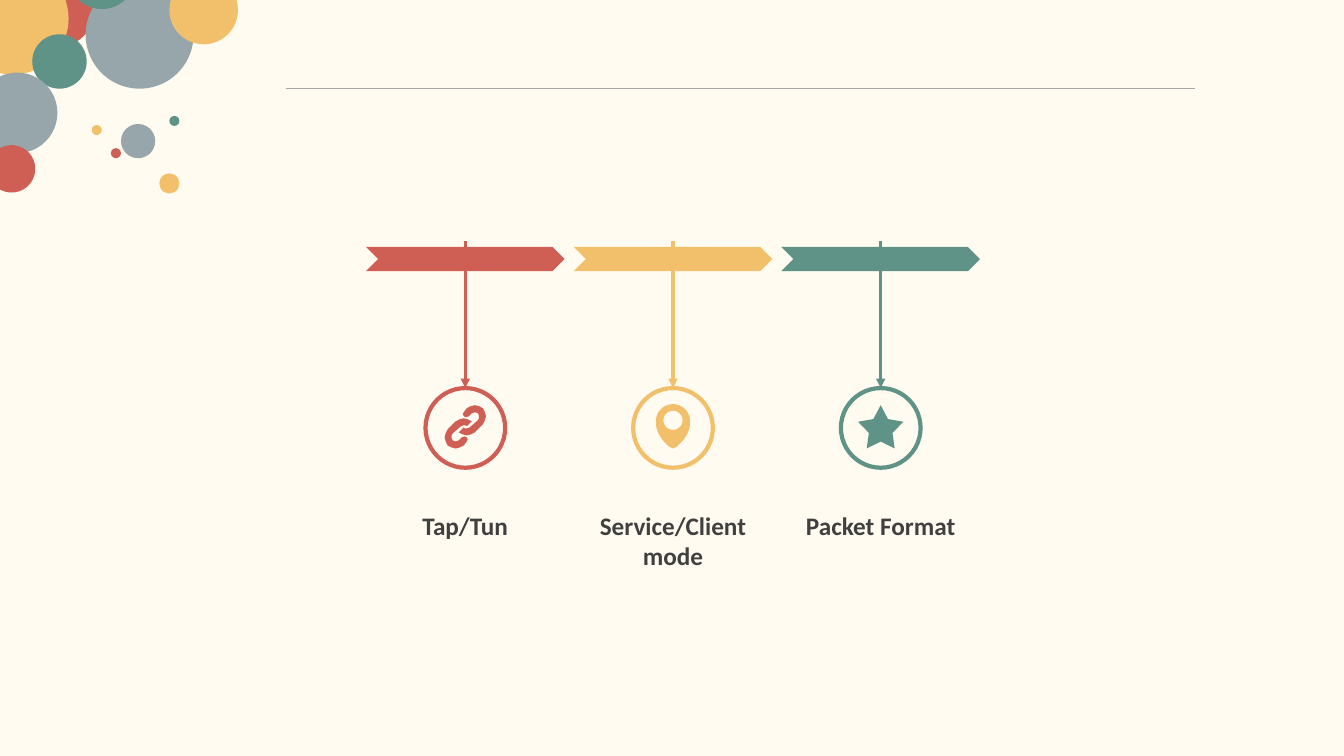
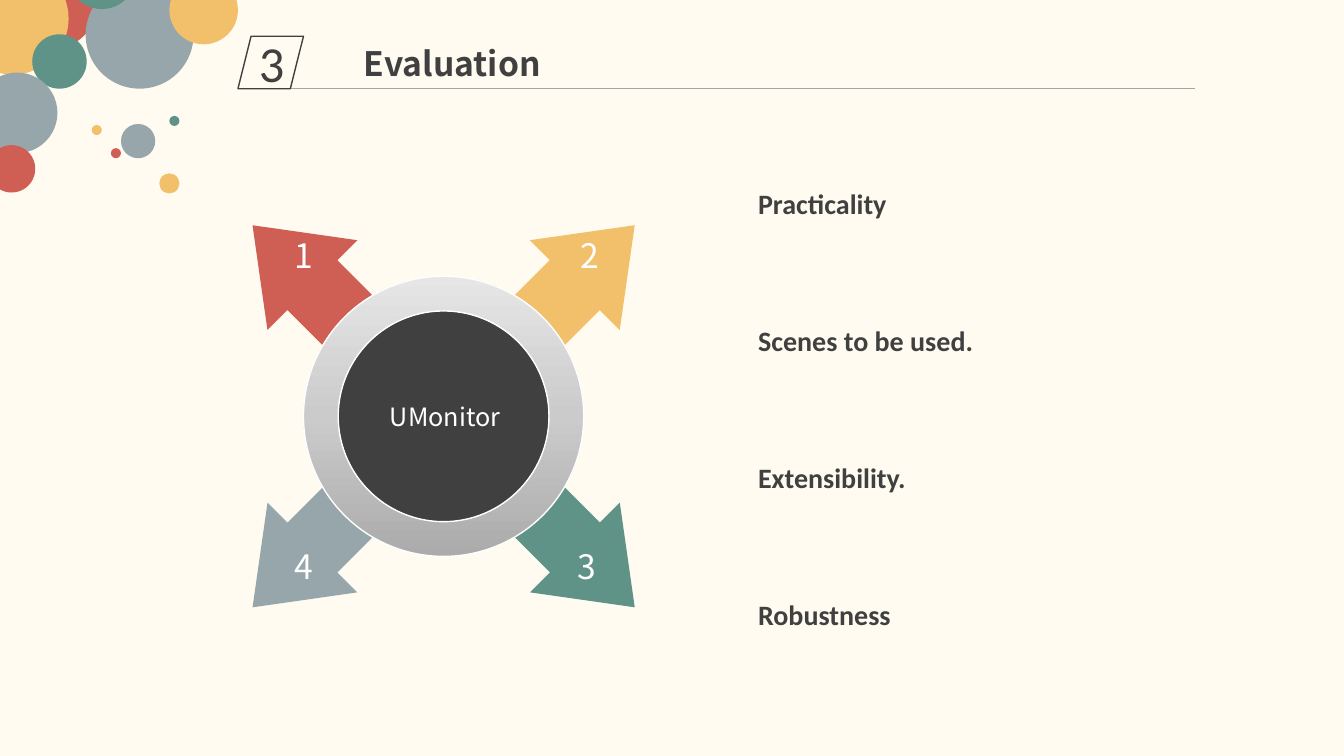
from copy import deepcopy
from dataclasses import dataclass
from math import cos, pi, sin

from lxml import etree
from pptx import Presentation
from pptx.dml.color import RGBColor
from pptx.enum.shapes import MSO_CONNECTOR, MSO_SHAPE
from pptx.enum.text import MSO_ANCHOR, MSO_AUTO_SIZE, PP_ALIGN
from pptx.oxml.ns import qn
from pptx.util import Inches, Pt

RED, YELLOW, GREEN, GREY = "CF5F55", "F2C06B", "5F9387", "97A6AB"
INK, WHITE, CREAM, RULE = "404040", "FFFFFF", "FFFBF0", "A6A6A6"
SANS, CJK = "Calibri", "Noto Sans CJK SC"
LEFT, CENTER = PP_ALIGN.LEFT, PP_ALIGN.CENTER
TOP, MIDDLE = MSO_ANCHOR.TOP, MSO_ANCHOR.MIDDLE
FIT = MSO_AUTO_SIZE.SHAPE_TO_FIT_TEXT
STRAIGHT = MSO_CONNECTOR.STRAIGHT
ELLIPSE, DONUT, STAR = MSO_SHAPE.OVAL, MSO_SHAPE.DONUT, MSO_SHAPE.STAR_5_POINT
CHEVRON, UP_ARROW = MSO_SHAPE.CHEVRON, MSO_SHAPE.UP_ARROW
PARALLELOGRAM = MSO_SHAPE.PARALLELOGRAM


@dataclass(frozen=True)
class Bubble:
    """Round decoration in the top left corner."""
    left: float
    top: float
    size: float
    color: str


@dataclass(frozen=True)
class Step:
    """Column of the timeline."""
    label: str
    color: str


@dataclass(frozen=True)
class Arrow:
    """Numbered arrow around the hub, with its direction and digit centre."""
    number: str
    color: str
    dx: int
    dy: int
    rotation: int
    digit_x: float
    digit_y: float


BUBBLES = [
    Bubble(0.04, -0.44, 0.93, RED), Bubble(-0.43, -0.37, 1.11, YELLOW),
    Bubble(0.32, 0.34, 0.54, GREEN), Bubble(-0.23, 0.72, 0.8, GREY),
    Bubble(0.85, -0.19, 1.07, GREY), Bubble(0.67, -0.59, 0.68, GREEN),
    Bubble(-0.12, 1.44, 0.47, RED), Bubble(1.2, 1.23, 0.34, GREY),
    Bubble(1.1, 1.47, 0.1, RED), Bubble(0.91, 1.24, 0.1, YELLOW),
    Bubble(1.68, 1.15, 0.1, GREEN), Bubble(1.58, 1.72, 0.2, YELLOW),
    Bubble(1.68, -0.24, 0.68, YELLOW),
]
STEPS = [Step("Tap/Tun", RED), Step("Service/Client mode", YELLOW),
         Step("Packet Format", GREEN)]
ARROWS = [
    Arrow("3", GREEN, 1, 1, 135, 5.82, 5.62),
    Arrow("4", GREY, -1, 1, 225, 3.01, 5.62),
    Arrow("1", RED, -1, -1, 315, 3.01, 2.53),
    Arrow("2", YELLOW, 1, -1, 45, 5.85, 2.53),
]
TOPICS = ["Practicality", "Scenes to be used.", "Extensibility.", "Robustness"]
CHAIN_LINK = [
    (4.71, 4.02), (4.75, 4.03), (4.79, 4.05), (4.81, 4.09), (4.82, 4.13),
    (4.81, 4.17), (4.79, 4.21), (4.71, 4.29), (4.67, 4.31), (4.63, 4.32),
    (4.59, 4.31), (4.55, 4.29), (4.6, 4.24), (4.61, 4.25), (4.63, 4.25),
    (4.66, 4.24), (4.74, 4.17), (4.75, 4.15), (4.75, 4.12), (4.74, 4.1),
    (4.71, 4.09), (4.68, 4.1), (4.65, 4.13), (4.62, 4.14), (4.6, 4.13),
    (4.59, 4.11), (4.6, 4.09), (4.63, 4.05), (4.67, 4.03),
]
PIN_SIDE = [(0.165, 0.06), (0.14, 0.13), (0.1, 0.19), (0.04, 0.25)]


def rgb(color: str) -> RGBColor:
    """Turn a hex string into a colour."""
    return RGBColor.from_string(color)


def paint(sp, fill: str | None = None, line: str | None = None, width: float = 1) -> None:
    """Set fill and outline, and drop the shadow."""
    sp.shadow.inherit = False
    if fill:
        sp.fill.solid()
        sp.fill.fore_color.rgb = rgb(fill)
    else:
        sp.fill.background()
    if line:
        sp.line.color.rgb = rgb(line)
        sp.line.width = Pt(width)
    else:
        sp.line.fill.background()


def add_shape(shapes, kind, left: float, top: float, width: float, height: float,
              fill: str | None = None, line: str | None = None, weight: float = 1):
    """Add a painted preset shape."""
    sp = shapes.add_shape(kind, Inches(left), Inches(top), Inches(width), Inches(height))
    paint(sp, fill, line, weight)
    return sp


def write(sp, text: str, size: float, color: str, font: str = SANS, bold: bool = False,
          align=LEFT, anchor=TOP) -> None:
    """Set one formatted line of text."""
    tf = sp.text_frame
    tf.text = text
    tf.vertical_anchor = anchor
    p = tf.paragraphs[0]
    p.alignment = align
    r = p.runs[0]
    r.font.size, r.font.bold, r.font.name = Pt(size), bold, font
    r.font.color.rgb = rgb(color)


def add_text(s, text: str, left: float, top: float, width: float, height: float,
             size: float, color: str, font: str = SANS, bold: bool = False,
             align=LEFT, wrap: bool = True) -> None:
    """Add a text box that fits its text."""
    box = s.shapes.add_textbox(Inches(left), Inches(top), Inches(width), Inches(height))
    write(box, text, size, color, font, bold, align)
    box.text_frame.word_wrap = wrap
    box.text_frame.auto_size = FIT


def add_line(s, x1: float, y1: float, x2: float, y2: float, color: str, width: float,
             arrow: bool = False):
    """Add a straight line, with an arrowhead at its end if asked."""
    line = s.shapes.add_connector(STRAIGHT, Inches(x1), Inches(y1), Inches(x2), Inches(y2))
    line.line.color.rgb = rgb(color)
    line.line.width = Pt(width)
    sp_pr = line._element.spPr
    if arrow:
        etree.SubElement(sp_pr.find(qn("a:ln")), qn("a:tailEnd"), type="triangle")
    etree.SubElement(sp_pr, qn("a:effectLst"))
    return line


def add_outline(s, contours: list[list[tuple[float, float]]], fill: str) -> None:
    """Add a freeform made of closed contours."""
    paths = [[(Inches(x), Inches(y)) for x, y in contour] for contour in contours]
    builder = s.shapes.build_freeform(*paths[0][0])
    for i, points in enumerate(paths):
        if i:
            builder.move_to(*points[0])
        builder.add_line_segments(points[1:], close=True)
    paint(builder.convert_to_shape(), fill)


def arc(x: float, y: float, radius: float, sweep: float) -> list[tuple[float, float]]:
    """Return points along an arc that starts at the left."""
    angles = [pi + sweep * i / 24 for i in range(25)]
    return [(x + radius * cos(a), y + radius * sin(a)) for a in angles]


def add_chain(s) -> None:
    """Draw two links, one the half turn of the other."""
    turned = [(9.23 - x, 8.47 - y) for x, y in CHAIN_LINK]
    add_outline(s, [turned, CHAIN_LINK], RED)


def add_pin(s, x: float, y: float) -> None:
    """Draw a map pin with a round hole."""
    right = [(x + dx, y + dy) for dx, dy in PIN_SIDE]
    left = [(x - dx, y + dy) for dx, dy in reversed(PIN_SIDE)]
    body = arc(x, y, 0.17, pi) + right + [(x, y + 0.27)] + left
    add_outline(s, [body, arc(x, y - 0.01, 0.095, 2 * pi)], YELLOW)


def add_frame(s) -> None:
    """Draw the bubbles and the header rule."""
    group = s.shapes.add_group_shape()
    for b in BUBBLES:
        add_shape(group.shapes, ELLIPSE, b.left, b.top, b.size, b.size, b.color)
    add_line(s, 2.84, 0.88, 11.85, 0.88, RULE, 0.5)


def add_header(s, number: str, title: str) -> None:
    """Write the section number and the title."""
    sp = add_shape(s.shapes, PARALLELOGRAM, 2.36, 0.36, 0.65, 0.52, line=INK)
    write(sp, number, 36, INK, align=CENTER, anchor=MIDDLE)
    sp = s.shapes.title
    sp.left, sp.top, sp.width, sp.height = Inches(3.51), Inches(0.38), Inches(5.13), Inches(0.5)
    write(sp, title, 24, INK, CJK, True)
    sp.text_frame.auto_size = FIT


def build_timeline(prs) -> None:
    """Build the slide with three steps."""
    s = prs.slides.add_slide(prs.slide_layouts[6])
    add_frame(s)
    width, ring = 1.97, 0.79
    for i, step in enumerate(STEPS):
        left = 3.63 + 2.06 * i
        middle = left + width / 2
        add_shape(s.shapes, CHEVRON, left, 2.45, width, 0.24, step.color)
        circle = add_shape(s.shapes, ELLIPSE, middle - ring / 2, 3.85, ring, ring,
                           line=step.color, weight=3)
        line = add_line(s, middle, 2.39, middle, 3.85, step.color, 2.25, True)
        line.end_connect(circle, 0)
        add_text(s, step.label, left, 5.01, width, 0.4, 18, INK, bold=True, align=CENTER)
    add_chain(s)
    add_pin(s, 6.675, 4.18)
    star = add_shape(s.shapes, STAR, 8.51, 4.02, 0.45, 0.43, GREEN)
    star.adjustments[0] = 0.26


def add_hub(s, x: float, y: float) -> None:
    """Draw the dark disc and its shaded ring."""
    size = 2.78
    box = (x - size / 2, y - size / 2, size, size)
    add_shape(s.shapes, ELLIPSE, *box, INK)
    ring = add_shape(s.shapes, DONUT, *box, WHITE, WHITE)
    ring.adjustments[0] = 0.124
    ring.fill.gradient()
    ring.fill.gradient_angle = 90
    stops = ring._element.spPr.find(".//" + qn("a:gsLst"))
    stops.insert(1, deepcopy(stops[0]))
    shades = [(0, "ABABAB"), (0.5, "CBCBCB"), (1, "E6E6E6")]
    for stop, (position, color) in zip(ring.fill.gradient_stops, shades):
        stop.position = position
        stop.color.rgb = rgb(color)
    add_text(s, "UMonitor", 3.73, 3.93, 1.37, 0.4, 18, WHITE, CJK, align=CENTER, wrap=False)


def build_evaluation(prs) -> None:
    """Build the slide with four arrows around a hub."""
    s = prs.slides.add_slide(prs.slide_layouts[5])
    add_frame(s)
    add_header(s, "3", "Evaluation")
    x, y, reach, width, height = 4.4, 4.13, 1.16, 1.26, 2.08
    for a in ARROWS:
        sp = add_shape(s.shapes, UP_ARROW, x + a.dx * reach - width / 2,
                       y + a.dy * reach - height / 2, width, height, a.color)
        sp.adjustments[0], sp.adjustments[1] = 0.556, 0.667
        sp.rotation = a.rotation
    add_hub(s, x, y)
    for a in ARROWS:
        add_text(s, a.number, a.digit_x - 0.2, a.digit_y - 0.25, 0.4, 0.5, 24, WHITE, CJK,
                 align=CENTER, wrap=False)
    for i, topic in enumerate(TOPICS):
        add_text(s, topic, 7.42, 1.8 + 1.36 * i, 4.12, 0.44, 20, INK, bold=True)


def main() -> None:
    """Build and save the presentation."""
    prs = Presentation()
    prs.slide_width, prs.slide_height = Inches(13.33), Inches(7.5)
    fill = prs.slide_master.background.fill
    fill.solid()
    fill.fore_color.rgb = rgb(CREAM)
    build_timeline(prs)
    build_evaluation(prs)
    prs.save("out.pptx")


if __name__ == "__main__":
    main()
